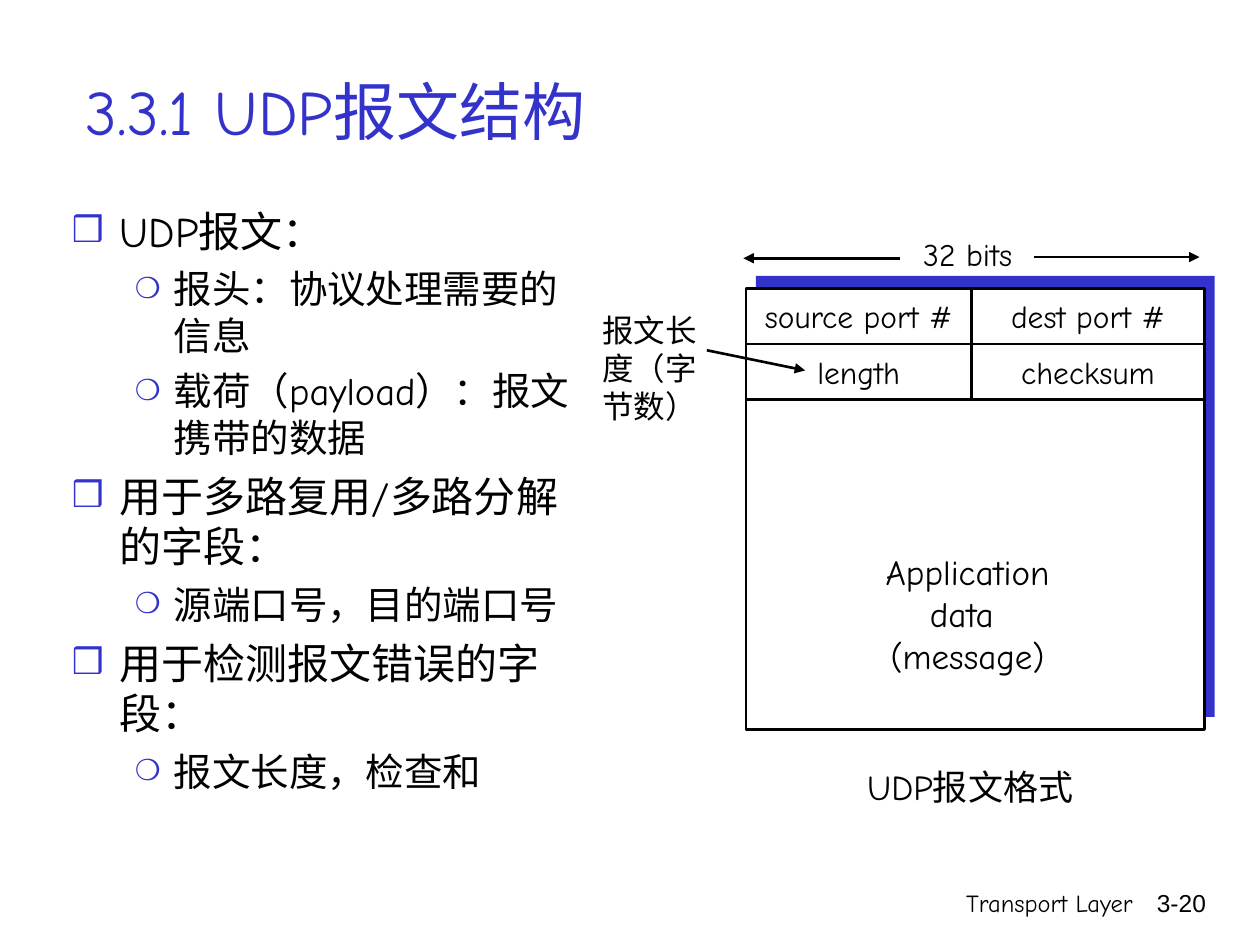
from lxml.etree import SubElement
from pptx import Presentation
from pptx.dml.color import RGBColor
from pptx.enum.shapes import MSO_CONNECTOR, MSO_SHAPE
from pptx.enum.text import MSO_ANCHOR, MSO_AUTO_SIZE, PP_ALIGN
from pptx.oxml.ns import qn
from pptx.util import Inches, Pt

COLORS = {"blue": "3333CC", "black": "000000", "white": "FFFFFF"}
FONT = "Comic Neue"

# Datagram grid, in inches: column edges and header row edges
COLS = [5.92, 7.71, 9.56]
TOP, ROW_H, BOX_H = 2.29, 0.44, 3.5
BOX_W = COLS[-1] - COLS[0]

FIELDS = [["source port #", "dest port #"], ["length", "checksum"]]

# Per outline level: text size, space before, left margin, hanging, bullet, bullet size %
LEVELS = [(24, 6, 0.38, 0.38, "❒", 85), (22, 5.5, 0.81, 0.31, "❍", 75)]
OUTLINE = [
    (0, "UDP报文："),
    (1, "报头：协议处理需要的信息"),
    (1, "载荷（payload）：报文携带的数据"),
    (0, "用于多路复用/多路分解的字段："),
    (1, "源端口号，目的端口号"),
    (0, "用于检测报文错误的字段："),
    (1, "报文长度，检查和"),
]


def rgb(name):
    return RGBColor.from_string(COLORS[name])


def place(sp, x, y, w, h):
    sp.left, sp.top, sp.width, sp.height = (Inches(v) for v in (x, y, w, h))


def style(p, size, color="black", font=FONT, align=PP_ALIGN.LEFT):
    p.alignment = align
    for r in p.runs:
        r.font.size, r.font.name = Pt(size), font
        r.font.color.rgb = rgb(color)


def add_title(s, text):
    sp = s.shapes.title
    place(sp, 0.58, 0.25, 9.12, 1.25)
    tf = sp.text_frame
    tf.text = text
    tf.auto_size = MSO_AUTO_SIZE.NONE
    tf.vertical_anchor = MSO_ANCHOR.MIDDLE
    style(tf.paragraphs[0], 36, "blue")


def set_bullet(p, margin, hang, char, percent):
    pPr = p._p.get_or_add_pPr()
    pPr.set("marL", str(Inches(margin)))
    pPr.set("indent", str(-Inches(hang)))
    clr = SubElement(pPr, qn("a:buClr"))
    SubElement(clr, qn("a:srgbClr"), val=COLORS["blue"])
    SubElement(pPr, qn("a:buSzPct"), val=str(percent * 1000))
    SubElement(pPr, qn("a:buChar"), char=char)


def add_outline(s, items):
    sp = s.placeholders[1]
    place(sp, 0.47, 1.58, 4.18, 5.08)
    tf = sp.text_frame
    tf.text = "\n".join(text for _, text in items)
    tf.auto_size = MSO_AUTO_SIZE.NONE
    for p, (level, _) in zip(tf.paragraphs, items):
        size, before, *bullet = LEVELS[level]
        p.level = level
        p.space_before = Pt(before)
        style(p, size)
        set_bullet(p, *bullet)


def add_text(s, text, x, y, w, h, size, align=PP_ALIGN.LEFT, font=FONT):
    sp = s.shapes.add_textbox(0, 0, 0, 0)
    place(sp, x, y, w, h)
    tf = sp.text_frame
    tf.text = text
    tf.word_wrap = True
    for p in tf.paragraphs:
        style(p, size, font=font, align=align)


def add_label(s, text, cx, y, w=1.8, h=0.4, size=18):
    """Text centred on cx."""
    add_text(s, text, cx - w / 2, y, w, h, size, PP_ALIGN.CENTER)


def add_box(s, x, y, fill, outlined=False):
    sp = s.shapes.add_shape(MSO_SHAPE.RECTANGLE, 0, 0, 0, 0)
    place(sp, x, y, BOX_W, BOX_H)
    sp.shadow.inherit = False
    sp.fill.solid()
    sp.fill.fore_color.rgb = rgb(fill)
    if outlined:
        sp.line.color.rgb = rgb("black")
        sp.line.width = Pt(1.5)
    else:
        sp.line.fill.background()


def add_line(s, x1, y1, x2, y2, arrow=False):
    c = s.shapes.add_connector(
        MSO_CONNECTOR.STRAIGHT, *(Inches(v) for v in (x1, y1, x2, y2)))
    c.line.color.rgb = rgb("black")
    c.line.width = Pt(1.5)
    if arrow:
        SubElement(c.line._get_or_add_ln(), qn("a:tailEnd"), type="triangle")
    SubElement(c._element.spPr, qn("a:effectLst"))


def add_datagram(s):
    add_box(s, COLS[0] + 0.08, TOP - 0.1, "blue")
    add_box(s, COLS[0], TOP, "white", outlined=True)
    for i, names in enumerate(FIELDS):
        y = TOP + i * ROW_H
        add_line(s, COLS[0], y + ROW_H, COLS[-1], y + ROW_H)
        add_line(s, COLS[1], y, COLS[1], y + ROW_H)
        for name, left, right in zip(names, COLS, COLS[1:]):
            add_label(s, name, (left + right) / 2, y + 0.02)
    add_label(s, "Application\ndata \n(message)", 7.68, 4.32, h=1.1, size=20)
    add_label(s, "UDP报文格式", 7.7, 6.03, w=2, h=0.44, size=20)


def add_annotations(s):
    add_label(s, "32 bits", 7.68, 1.82, w=1.06)
    add_line(s, 7.14, 2.05, 5.9, 2.05, arrow=True)
    add_line(s, 8.21, 2.04, 9.52, 2.04, arrow=True)
    add_text(s, "报文长度（字节数）", 4.68, 2.42, 1.03, 1, 18)
    add_line(s, 5.61, 2.78, 6.39, 2.94, arrow=True)


def add_footer(s):
    add_text(s, "Transport Layer", 5.92, 7, 3.17, 0.5, 14, PP_ALIGN.RIGHT)
    add_text(s, "3-20", 8.93, 7, 0.74, 0.5, 14, PP_ALIGN.RIGHT, font="Arial")


def main():
    prs = Presentation()
    prs.slide_width, prs.slide_height = Inches(10), Inches(7.5)
    s = prs.slides.add_slide(prs.slide_layouts[1])
    add_title(s, "3.3.1 UDP报文结构")
    add_outline(s, OUTLINE)
    add_datagram(s)
    add_annotations(s)
    add_footer(s)
    prs.save("out.pptx")


if __name__ == "__main__":
    main()
